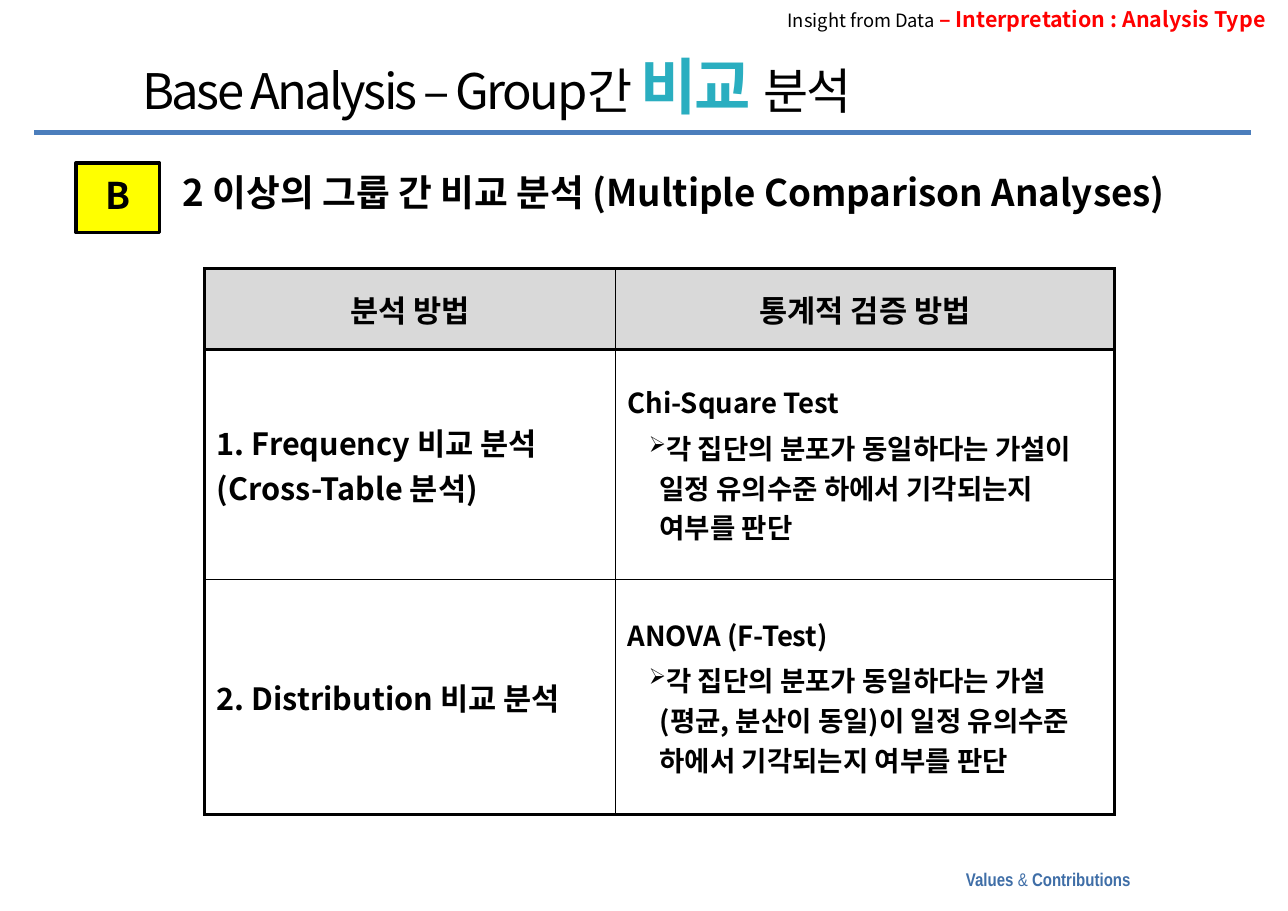
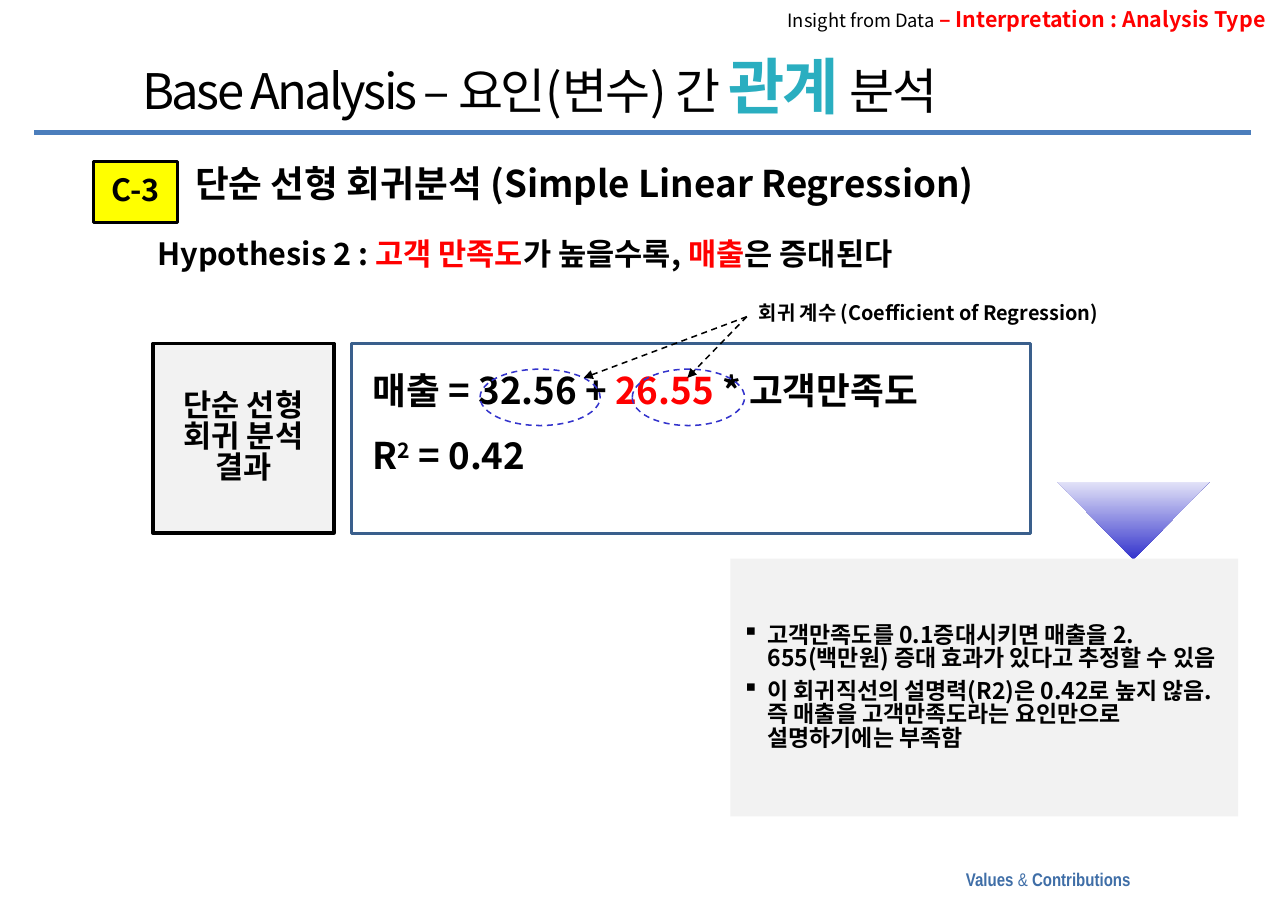
from dataclasses import dataclass
from typing import Any, Optional, Union

import lxml.etree
import pptx
import pptx.dml.color
import pptx.enum.dml
import pptx.enum.shapes
import pptx.enum.text
import pptx.oxml.ns
import pptx.util

# Colours and fonts
BLACK = pptx.dml.color.RGBColor(0x00, 0x00, 0x00)
RED = pptx.dml.color.RGBColor(0xFF, 0x00, 0x00)
YELLOW = pptx.dml.color.RGBColor(0xFF, 0xFF, 0x00)
TEAL = pptx.dml.color.RGBColor(0x2A, 0xAE, 0xC0)
RULE_BLUE = pptx.dml.color.RGBColor(0x4B, 0x7E, 0xBC)
FOOTER_BLUE = pptx.dml.color.RGBColor(0x3F, 0x6E, 0xA7)
FRAME_BLUE = pptx.dml.color.RGBColor(0x3A, 0x5F, 0x8C)
INDIGO = pptx.dml.color.RGBColor(0x33, 0x33, 0xCC)
PALE_INDIGO = pptx.dml.color.RGBColor(0xE3, 0xE3, 0xF8)
HEAD_GRAY = pptx.dml.color.RGBColor(0xD9, 0xD9, 0xD9)
PANEL_GRAY = pptx.dml.color.RGBColor(0xF2, 0xF2, 0xF2)
BODY_FONT = "Noto Sans CJK KR"
FOOTER_FONT = "Arial Narrow"

TIGHT = 0.85  # line spacing outside the table
THICK, THIN = 2.25, 1.0  # line widths in points

ALIGN = pptx.enum.text.PP_ALIGN
ANCHOR = pptx.enum.text.MSO_ANCHOR
SHAPE = pptx.enum.shapes.MSO_SHAPE


@dataclass(frozen=True)
class Box:
    """Place and size in centimetres."""
    x: float
    y: float
    w: float
    h: float

    def emu(self) -> list[int]:
        return [pptx.util.Cm(v) for v in (self.x, self.y, self.w, self.h)]


@dataclass(frozen=True)
class Run:
    text: str
    size: Optional[float] = None
    color: Optional[pptx.dml.color.RGBColor] = None
    bold: Optional[bool] = None
    raised: bool = False


@dataclass(frozen=True)
class Bullet:
    char: str
    left: float
    hang: float
    percent: int = 100
    level: int = 0


@dataclass(frozen=True)
class Para:
    runs: list[Run]
    bullet: Optional[Bullet] = None


@dataclass(frozen=True)
class Method:
    name: str
    test: str
    detail: str


Text = Union[str, list[Run], list[Para]]

ARROW = Bullet("➢", left=0.74, hang=0.25, percent=80, level=1)
SQUARE = Bullet("▪", left=0.58, hang=0.58)


def sub(parent: Any, tag: str, **attrs: str) -> Any:
    """Append a DrawingML child element."""
    return lxml.etree.SubElement(parent, pptx.oxml.ns.qn(tag), attrs)


# Text
def add_bullet(p: Any, bullet: Bullet) -> None:
    pPr = p._p.get_or_add_pPr()
    pPr.set("marL", str(pptx.util.Cm(bullet.left)))
    pPr.set("indent", str(pptx.util.Cm(-bullet.hang)))
    sub(pPr, "a:buSzPct", val=str(bullet.percent * 1000))
    sub(pPr, "a:buChar", char=bullet.char)
    p.level = bullet.level


def add_run(p: Any, run: Run, size: float, color: pptx.dml.color.RGBColor,
            bold: bool, font: str, tracking: float) -> None:
    for i, line in enumerate(run.text.split("\n")):
        if i:
            p.add_line_break()
        r = p.add_run()
        r.text = line
        r.font.size = pptx.util.Pt(run.size or size)
        r.font.bold = bold if run.bold is None else run.bold
        r.font.color.rgb = color if run.color is None else run.color
        r.font.name = font
        rPr = r._r.get_or_add_rPr()
        sub(rPr, "a:ea", typeface=font)
        if tracking:
            rPr.set("spc", str(round(tracking * 100)))
        if run.raised:
            rPr.set("baseline", "30000")


def write(tf: Any, text: Text, *, size: float = 20, bold: bool = True,
          color: pptx.dml.color.RGBColor = BLACK, font: str = BODY_FONT,
          align: Any = ALIGN.LEFT, spacing: float = TIGHT, before: float = 0,
          tracking: float = 0) -> None:
    """Fill a text frame with a string, a list of runs or a list of paragraphs."""
    if isinstance(text, str):
        text = [Run(text)]
    paras = text if isinstance(text[0], Para) else [Para(text)]
    for i, para in enumerate(paras):
        p = tf.add_paragraph() if i else tf.paragraphs[0]
        if para.bullet:
            add_bullet(p, para.bullet)
        p.alignment = align
        p.line_spacing = spacing
        if i:
            p.space_before = pptx.util.Pt(before)
        for run in para.runs:
            add_run(p, run, size, color, bold, font, tracking)


def set_frame(tf: Any, anchor: Any, side: float, edge: float) -> None:
    tf.word_wrap = True
    tf.vertical_anchor = anchor
    tf.margin_left = tf.margin_right = pptx.util.Cm(side)
    tf.margin_top = tf.margin_bottom = pptx.util.Cm(edge)


def add_text(s: Any, box: Box, text: Text, *, anchor: Any = ANCHOR.TOP,
             side: float = 0.28, edge: float = 0.13, **fmt: Any) -> Any:
    sp = s.shapes.add_textbox(*box.emu())
    set_frame(sp.text_frame, anchor, side, edge)
    write(sp.text_frame, text, **fmt)
    return sp


# Shapes and lines
def add_shape(s: Any, kind: Any, box: Box, *,
              fill: Optional[pptx.dml.color.RGBColor] = None,
              line: Optional[pptx.dml.color.RGBColor] = None,
              width: float = THICK, dashed: bool = False,
              text: Optional[Text] = None, **fmt: Any) -> Any:
    sp = s.shapes.add_shape(kind, *box.emu())
    sp.shadow.inherit = False
    if fill is None:
        sp.fill.background()
    else:
        sp.fill.solid()
        sp.fill.fore_color.rgb = fill
    if line is None:
        sp.line.fill.background()
    else:
        sp.line.color.rgb = line
        sp.line.width = pptx.util.Pt(width)
        if dashed:
            sp.line.dash_style = pptx.enum.dml.MSO_LINE.DASH
    if text is not None:
        set_frame(sp.text_frame, ANCHOR.MIDDLE, 0.28, 0.13)
        write(sp.text_frame, text, **fmt)
    return sp


def add_line(s: Any, start: tuple[float, float], end: tuple[float, float],
             color: pptx.dml.color.RGBColor, width: float) -> Any:
    line = s.shapes.add_connector(pptx.enum.shapes.MSO_CONNECTOR.STRAIGHT,
                                  *[pptx.util.Cm(v) for v in start + end])
    line.line.color.rgb = color
    line.line.width = pptx.util.Pt(width)
    sub(line._element.spPr, "a:effectLst")
    return line


def add_badge(s: Any, box: Box, text: str, size: float) -> None:
    add_shape(s, SHAPE.RECTANGLE, box, fill=YELLOW, line=BLACK, text=text,
              size=size, align=ALIGN.CENTER)


# Parts shared by the slides
def add_base(prs: Any, lead: str, keyword: str, gap: list[Run]) -> Any:
    s = prs.slides.add_slide(prs.slide_layouts[6])
    add_line(s, (0.79, 3.05), (28.85, 3.05), RULE_BLUE, 3)
    add_text(s, Box(20.12, 19.89, 6.3, 0.76),
             [Run("Values "), Run("& ", bold=False), Run("Contributions ")],
             side=0.25, size=12, color=FOOTER_BLUE, font=FOOTER_FONT,
             align=ALIGN.RIGHT, spacing=1.0)
    add_text(s, Box(16.61, 0.1, 12.83, 0.86),
             [Run("Insight from Data ", size=12, color=BLACK, bold=False),
              Run("– Interpretation : Analysis Type")],
             side=0.25, size=14, color=RED, align=ALIGN.RIGHT)
    add_text(s, Box(3, 1.27, 25.86, 1.6),
             [Run(f"Base Analysis – {lead} "),
              Run(keyword, size=40, color=TEAL, bold=True), *gap, Run("분석")],
             anchor=ANCHOR.MIDDLE, edge=0.15, size=32, bold=False,
             spacing=0.9, tracking=-1.7)
    return s


# Comparison table
def set_cell(cell: Any, text: Text, edges: dict[str, float], side: float,
             fill: Optional[pptx.dml.color.RGBColor], **fmt: Any) -> None:
    tcPr = cell._tc.get_or_add_tcPr()
    for name, width in edges.items():
        ln = sub(tcPr, f"a:ln{name}", w=str(pptx.util.Pt(width)))
        sub(sub(ln, "a:solidFill"), "a:srgbClr", val=str(BLACK))
    if fill is None:
        cell.fill.background()
    else:
        cell.fill.solid()
        cell.fill.fore_color.rgb = fill
    cell.vertical_anchor = ANCHOR.MIDDLE
    cell.margin_left = cell.margin_right = pptx.util.Cm(side)
    cell.margin_top = cell.margin_bottom = pptx.util.Cm(0.15)
    write(cell.text_frame, text, spacing=1.0, before=3.6, **fmt)


def add_method_table(s: Any, heads: list[str], methods: list[Method]) -> None:
    widths, heights = [9.47, 11.51], [1.85, 5.31, 5.41]
    box = Box(4.72, 6.2, sum(widths), sum(heights))
    table = s.shapes.add_table(len(heights), len(widths), *box.emu()).table
    table.first_row = table.horz_banding = False
    for col, width in zip(table.columns, widths):
        col.width = pptx.util.Cm(width)
    for row, height in zip(table.rows, heights):
        row.height = pptx.util.Cm(height)

    rows: list[list[Text]] = [list(heads)]
    for m in methods:
        rows.append([m.name, [Para([Run(m.test)]), Para([Run(m.detail)], ARROW)]])
    for i, row in enumerate(rows):
        head = i == 0
        for j, text in enumerate(row):
            edges = {"L": THIN if j else THICK,
                     "R": THICK if j == len(widths) - 1 else THIN,
                     "T": THICK if i < 2 else THIN,
                     "B": THICK if i in (0, len(rows) - 1) else THIN}
            set_cell(table.cell(i, j), text, edges, 0.1 if head else 0.28,
                     HEAD_GRAY if head else None,
                     size=18 if j and not head else 20,
                     align=ALIGN.CENTER if head else ALIGN.LEFT)


def build_comparison(prs: Any) -> None:
    s = add_base(prs, "Group간", "비교", [Run(" ", size=37, bold=True)])
    add_badge(s, Box(1.75, 3.76, 1.93, 1.6), "B", 24)
    add_text(s, Box(3.94, 3.94, 24.92, 1.3),
             "2 이상의 그룹 간 비교 분석 (Multiple Comparison Analyses)", size=24)
    add_method_table(s, ["분석 방법", "통계적 검증 방법"], [
        Method("1. Frequency 비교 분석 (Cross-Table 분석)", "Chi-Square Test",
               "각 집단의 분포가 동일하다는 가설이 일정 유의수준 하에서 기각되는지 여부를 판단"),
        Method("2. Distribution 비교 분석", "ANOVA (F-Test)",
               "각 집단의 분포가 동일하다는 가설(평균, 분산이 동일)이 일정 유의수준 하에서 "
               "기각되는지 여부를 판단"),
    ])


def build_regression(prs: Any) -> None:
    s = add_base(prs, "요인(변수) 간", "관계 ", [])
    add_badge(s, Box(2.16, 3.73, 1.93, 1.4), "C-3", 20)
    add_text(s, Box(4.22, 3.73, 19.69, 1.3),
             "단순 선형 회귀분석 (Simple Linear Regression)", size=24)
    add_text(s, Box(3.35, 5.41, 24.41, 1.14),
             [Run("Hypothesis 2 : "), Run("고객 만족도", color=RED),
              Run("가 높을수록, "), Run("매출", color=RED), Run("은 증대된다")])

    # Regression result
    add_shape(s, SHAPE.RECTANGLE, Box(3.53, 7.92, 4.17, 4.37), fill=PANEL_GRAY,
              line=BLACK, text="단순 선형\n회귀 분석 결과", align=ALIGN.CENTER)
    add_shape(s, SHAPE.RECTANGLE, Box(8.1, 7.92, 15.67, 4.37),
              line=FRAME_BLUE, width=2)
    add_text(s, Box(8.31, 8.51, 16.03, 2.97),
             [Para([Run("매출 = 32.56 + "), Run("26.55", color=RED),
                    Run(" * 고객만족도")]),
              Para([Run("R"), Run("2", raised=True), Run(" = 0.42")])],
             size=24, before=18)

    # Coefficients marked and labelled
    label = add_text(s, Box(17.22, 6.88, 10.31, 0.84),
                     "회귀 계수 (Coefficient of Regression)", size=13)
    for x, width, tip in ((11.07, 2.77, 13.46), (14.58, 2.59, 15.85)):
        add_shape(s, SHAPE.OVAL, Box(x, 8.51, width, 1.3), line=INDIGO,
                  width=THIN, dashed=True)
        arrow = add_line(s, (17.22, 7.3), (tip, 8.71), BLACK, THIN)
        arrow.begin_connect(label, 1)
        arrow.line.dash_style = pptx.enum.dml.MSO_LINE.DASH
        sub(arrow.line._get_or_add_ln(), "a:tailEnd", type="triangle")

    # Interpretation
    pointer = add_shape(s, SHAPE.ISOSCELES_TRIANGLE, Box(24.38, 11.1, 3.51, 1.8))
    pointer.rotation = 180
    pointer.fill.gradient()
    pointer.fill.gradient_angle = 270
    for stop, color in zip(pointer.fill.gradient_stops, (INDIGO, PALE_INDIGO)):
        stop.color.rgb = color
    notes = ["고객만족도를 0.1증대시키면 매출을 2.655(백만원) 증대 효과가 있다고 추정할 수 있음",
             "이 회귀직선의 설명력(R2)은 0.42로 높지 않음. 즉 매출을 고객만족도라는 "
             "요인만으로 설명하기에는 부족함"]
    add_shape(s, SHAPE.RECTANGLE, Box(16.84, 12.88, 11.71, 5.94), fill=PANEL_GRAY,
              text=[Para([Run(note)], SQUARE) for note in notes], size=15, before=6)


def main() -> None:
    prs = pptx.Presentation()
    prs.slide_width, prs.slide_height = pptx.util.Cm(29.7), pptx.util.Cm(21)
    build_comparison(prs)
    build_regression(prs)
    prs.save("out.pptx")


if __name__ == "__main__":
    main()
